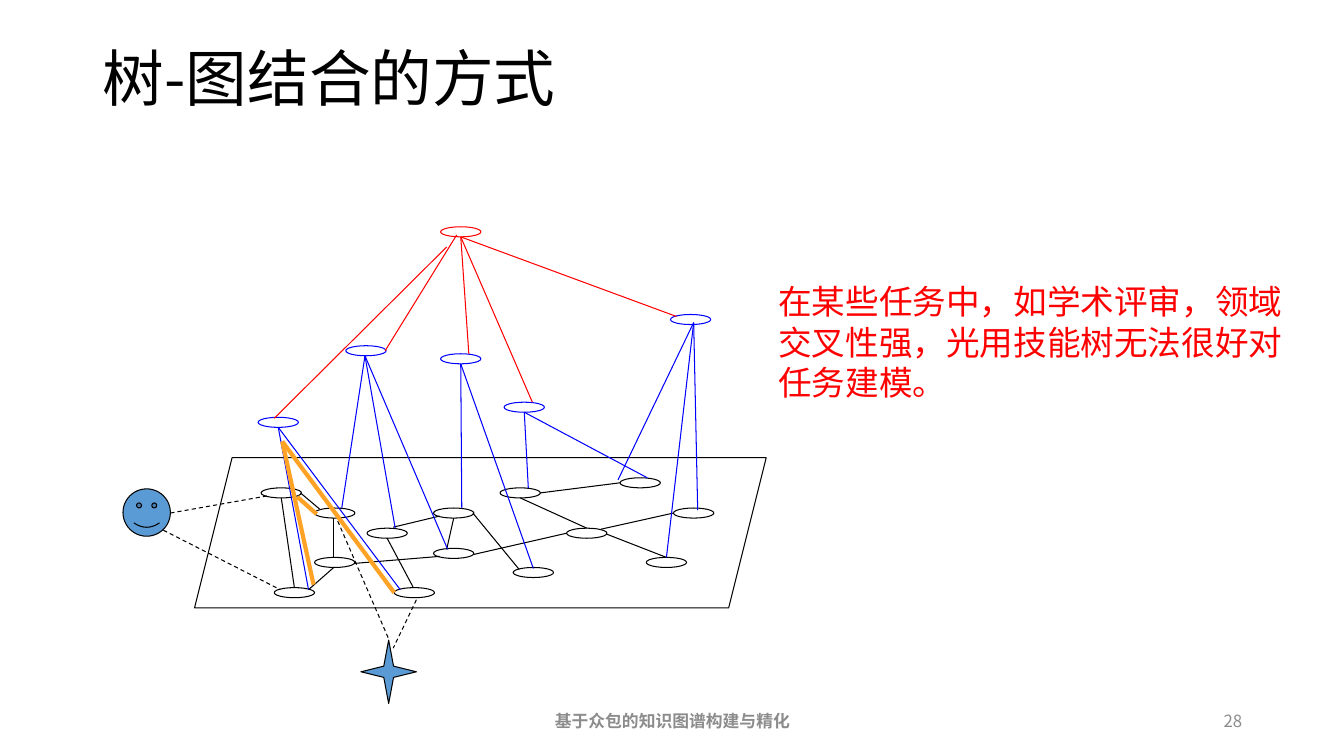
from dataclasses import dataclass
from lxml.etree import SubElement
from pptx import Presentation
from pptx.dml.color import RGBColor
from pptx.enum.dml import MSO_LINE
from pptx.enum.shapes import MSO_CONNECTOR, MSO_SHAPE
from pptx.enum.text import MSO_ANCHOR, PP_ALIGN
from pptx.oxml.ns import qn
from pptx.util import Pt

PX = 9144  # EMU in one px, 100 px to the inch


@dataclass(frozen=True)
class Theme:
    font: str = "Noto Sans CJK SC"
    black: str = "000000"
    grey: str = "8C8C8C"
    red: str = "FF0000"
    blue: str = "0000FF"
    orange: str = "FFA326"
    fill: str = "5B9BD5"
    title: int = 44
    body: int = 24
    small: int = 12
    thin: float = 0.75
    thick: float = 3


THEME = Theme()
NODE = (40, 10)

# Nodes are left and top; edges run from one start to many ends
SKILLS = [(212, 304), (330, 344), (212, 353), (330, 304), (264, 324),
          (396, 284), (159, 284), (172, 383), (291, 383), (462, 324),
          (409, 363), (568, 304), (541, 353), (515, 274)]
LINKS = [((343, 345), [(350, 314)]), ((251, 359), [(336, 352)]),
         ((231, 353), [(231, 314)]), ((217, 305), [(198, 289)]),
         ((370, 350), [(462, 329)]), ((502, 330), [(561, 353)]),
         ((496, 325), [(568, 309)]), ((436, 289), [(515, 279)]),
         ((416, 294), [(482, 324)]), ((290, 323), [(336, 312)]),
         ((284, 334), [(310, 383)]), ((369, 309), [(415, 365)]),
         ((231, 363), [(206, 385)]), ((179, 294), [(192, 383)])]
FIELDS = [(156, 214), (400, 199), (565, 112), (337, 151), (243, 143)]
TWIGS = [((262, 153), [(239, 304), (292, 324), (344, 345)]),
         ((176, 224), [(206, 385), (297, 385)]),
         ((357, 161), [(358, 304), (429, 364)]),
         ((420, 209), [(424, 284), (542, 274)]),
         ((588, 120), [(513, 276), (561, 353), (592, 306)])]
ROOT = [(337, 25)]
LIMBS = [((353, 33), [(282, 148)]), ((343, 45), [(172, 215)]),
         ((357, 35), [(365, 151), (428, 199), (571, 114)])]
WORKER = [((69, 309), [(165, 292)]), ((62, 326), [(178, 385)])]
TASK = [((313, 395), [(290, 443)]), ((235, 317), [(286, 435)])]
MATCH = [((214, 310), [(195, 293)]),
         ((180, 238), [(211, 380), (291, 388)])]


def emu(*sizes):
    return [size * PX for size in sizes]


def shift(box, x, y):
    return box[0] + x, box[1] + y


def write(frame, text, *, size, color, bold=False, align=PP_ALIGN.LEFT,
          anchor=MSO_ANCHOR.MIDDLE, space=None):
    frame.word_wrap = True
    frame.vertical_anchor = anchor
    para = frame.paragraphs[0]
    para.alignment = align
    para.line_spacing = space
    run = para.add_run()
    run.text = text
    font = run.font
    font.name, font.size, font.bold = THEME.font, Pt(size), bold
    font.color.rgb = RGBColor.from_string(color)
    SubElement(font._element, qn("a:ea"), typeface=THEME.font)


def label(slide, box, text, **style):
    write(slide.shapes.add_textbox(*emu(*box)).text_frame, text, **style)


def shape(slide, kind, box, color, fill=None):
    item = slide.shapes.add_shape(kind, *emu(*box))
    item.shadow.inherit = False
    item.line.color.rgb = RGBColor.from_string(color)
    item.line.width = Pt(THEME.thin)
    if fill:
        item.fill.solid()
        item.fill.fore_color.rgb = RGBColor.from_string(fill)
    else:
        item.fill.background()
    return item


def nodes(slide, box, spots, color):
    for spot in spots:
        shape(slide, MSO_SHAPE.OVAL, (*shift(box, *spot), *NODE), color)


def edges(slide, box, fans, color, width=THEME.thin, dash=None):
    for start, ends in fans:
        for end in ends:
            line = slide.shapes.add_connector(
                MSO_CONNECTOR.STRAIGHT,
                *emu(*shift(box, *start), *shift(box, *end)))
            line.line.color.rgb = RGBColor.from_string(color)
            line.line.width = Pt(width)
            line.line.dash_style = dash
            SubElement(line._element.spPr, qn("a:effectLst"))


def header(slide, box, text):
    title = slide.shapes.title
    title.left, title.top, title.width, title.height = emu(*box)
    write(title.text_frame, text, size=THEME.title, color=THEME.black,
          space=0.9)


def graph(slide, box):
    # Skill graph on its plane
    nodes(slide, box, SKILLS, THEME.black)
    plane = shape(slide, MSO_SHAPE.PARALLELOGRAM,
                  (*shift(box, 93, 254), 567, 149), THEME.black)
    plane.adjustments[0] = 0.25
    edges(slide, box, LINKS, THEME.black)
    # Tree above the plane
    nodes(slide, box, FIELDS, THEME.blue)
    edges(slide, box, TWIGS, THEME.blue)
    nodes(slide, box, ROOT, THEME.red)
    edges(slide, box, LIMBS, THEME.red)
    # Worker, task and the match between them
    shape(slide, MSO_SHAPE.SMILEY_FACE, (*shift(box, 22, 285), 47, 47),
          THEME.black, THEME.fill)
    edges(slide, box, WORKER, THEME.black, dash=MSO_LINE.DASH)
    shape(slide, MSO_SHAPE.STAR_4_POINT, (*shift(box, 258, 435), 55, 63),
          THEME.black, THEME.fill)
    edges(slide, box, TASK, THEME.black, dash=MSO_LINE.DASH)
    edges(slide, box, MATCH, THEME.orange, THEME.thick)


def remark(slide, box, text):
    label(slide, box, text, size=THEME.body, color=THEME.red,
          anchor=MSO_ANCHOR.TOP)


def footer(slide, box, text, page):
    left, top, width, height = box
    label(slide, (left, top, 450, height), text, size=THEME.small,
          color=THEME.grey, bold=True, align=PP_ALIGN.CENTER)
    label(slide, (left + width - 300, top, 300, height), page,
          size=THEME.small, color=THEME.grey, align=PP_ALIGN.RIGHT)


def main():
    deck = Presentation()
    deck.slide_width, deck.slide_height = emu(1333, 750)
    slide = deck.slides.add_slide(deck.slide_layouts[5])
    header(slide, (92, 42, 1150, 78), "树-图结合的方式")
    footer(slide, (442, 695, 800, 40), "基于众包的知识图谱构建与精化", "28")
    graph(slide, (100, 200, 670, 500))
    remark(slide, (762, 274, 545, 131),
           "在某些任务中，如学术评审，领域交叉性强，光用技能树无法很好对任务建模。")
    deck.save("out.pptx")


if __name__ == "__main__":
    main()
